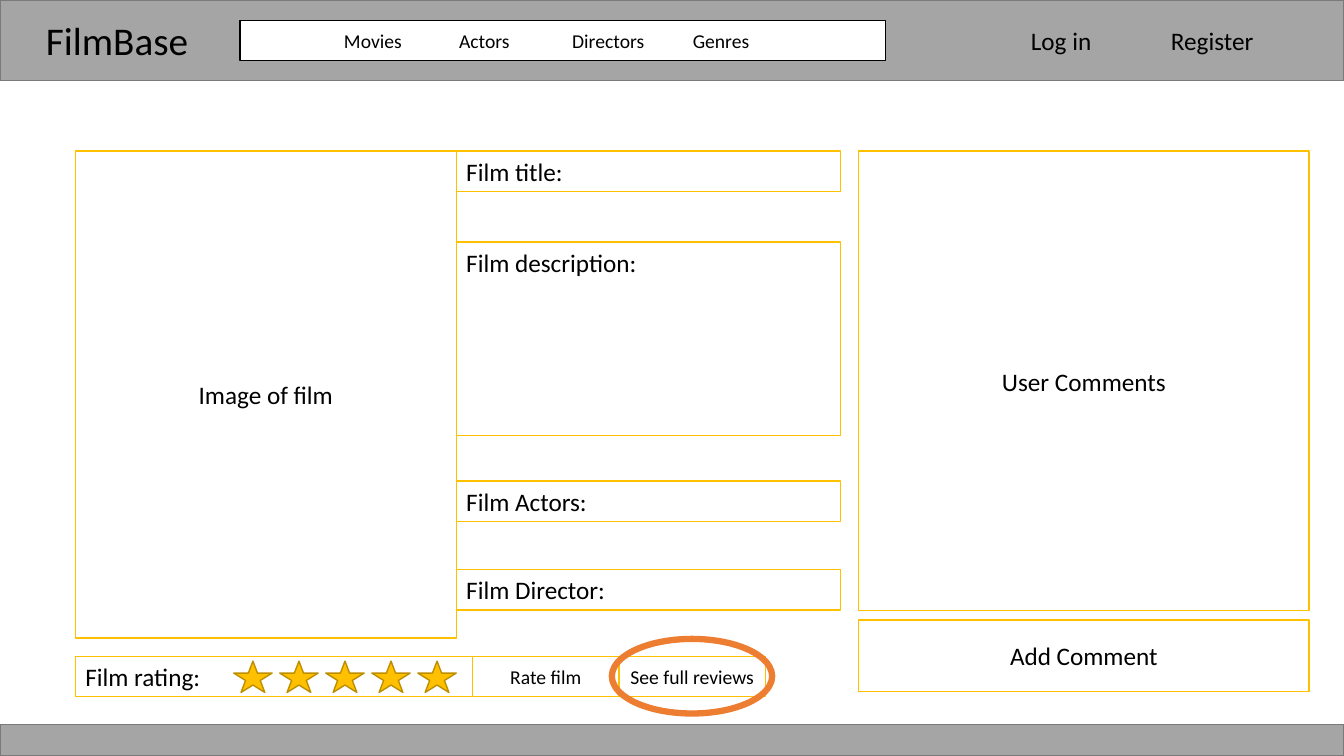
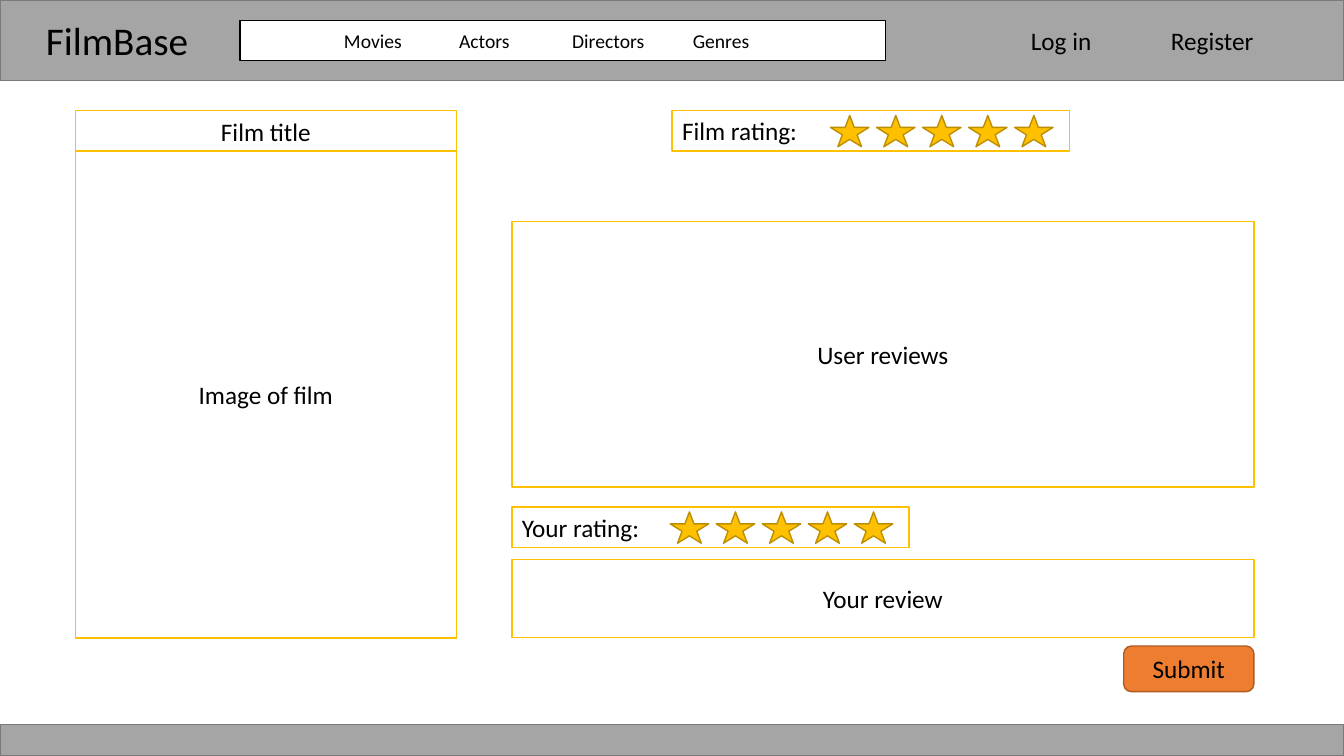
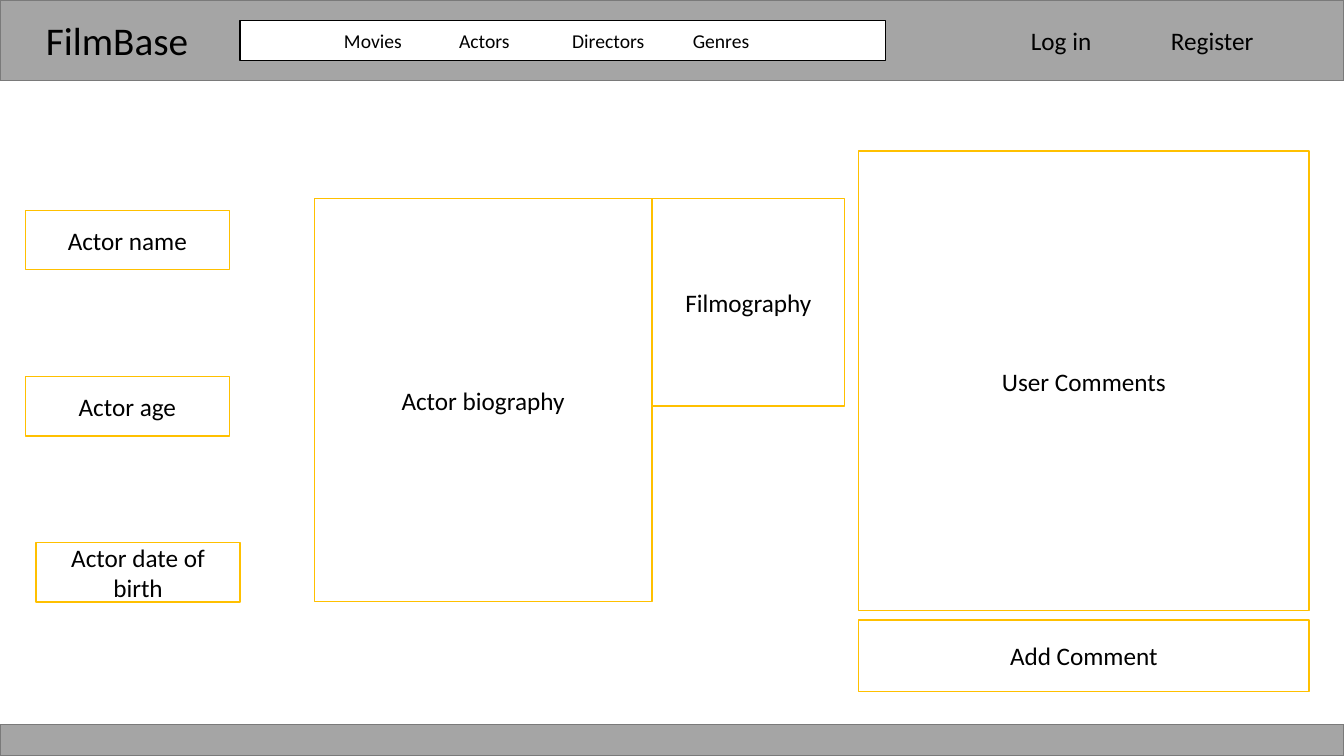
from pptx import Presentation
from pptx import util as u
from pptx.dml.color import RGBColor
from pptx.enum import shapes, text
from pptx.oxml import parse_xml
from pptx.oxml.ns import nsdecls

COLORS = {
    "paper": "FFFFFF", "ink": "000000", "band": "A5A5A5", "band_line": "7A7A7A",
    "gold": "FFC000", "star_line": "BD8E00", "orange": "ED7D31", "orange_line": "AF5C24",
}
FONT = "Calibri"
WIDTH, HEIGHT = 33.87, 19.05
ROW = 1.02
POSTER_X, POSTER_Y, POSTER_W, POSTER_H = 1.9, 3.81, 9.6, 12.27
MENU = ["Movies", "Actors", "Directors", "Genres"]
MENU_TABS = [2.9, 5.75, 8.79]

SHAPE = shapes.MSO_SHAPE
LEFT, CENTER = text.PP_ALIGN.LEFT, text.PP_ALIGN.CENTER
TOP, MIDDLE = text.MSO_ANCHOR.TOP, text.MSO_ANCHOR.MIDDLE


def rgb(name):
    return RGBColor.from_string(COLORS[name])


def write(sp, words, size=18, align=CENTER, anchor=MIDDLE, wrap=True):
    tf = sp.text_frame
    tf.word_wrap = wrap
    tf.vertical_anchor = anchor
    p = tf.paragraphs[0]
    p.text = words
    p.alignment = align
    p.font.name = FONT
    p.font.size = u.Pt(size)
    p.font.color.rgb = rgb("ink")
    return p


def add_shape(parent, kind, x, y, w, h, fill, line, weight=1):
    sp = parent.shapes.add_shape(kind, u.Cm(x), u.Cm(y), u.Cm(w), u.Cm(h))
    sp.shadow.inherit = False
    if fill:
        sp.fill.solid()
        sp.fill.fore_color.rgb = rgb(fill)
    else:
        sp.fill.background()
    sp.line.color.rgb = rgb(line)
    sp.line.width = u.Pt(weight)
    return sp


def add_box(parent, words, x, y, w, h, **style):
    sp = add_shape(parent, SHAPE.RECTANGLE, x, y, w, h, "paper", "gold")
    write(sp, words, **style)


def add_field(parent, words, x, y, w, h=ROW):
    add_box(parent, words, x, y, w, h, align=LEFT, anchor=TOP)


def add_label(s, words, x, y, w, h, size=18):
    sp = s.shapes.add_textbox(u.Cm(x), u.Cm(y), u.Cm(w), u.Cm(h))
    write(sp, words, size, LEFT, TOP, wrap=False)


def add_rating(s, words, x, y):
    group = s.shapes.add_group_shape()
    add_field(group, words, x, y, 10.01)
    for i in range(5):
        add_shape(group, SHAPE.STAR_5_POINT, x + 3.99 + 1.16 * i, y + 0.12,
                  0.97, 0.79, "gold", "star_line")


def add_menu(s):
    sp = add_shape(s, SHAPE.RECTANGLE, 6.05, 0.51, 16.26, ROW, "paper", "ink")
    p = write(sp, "\t".join(MENU), 14, LEFT)
    sp.text_frame.margin_left = u.Cm(2.62)
    stops = "".join(f'<a:tab pos="{u.Cm(pos)}" algn="l"/>' for pos in MENU_TABS)
    tabs = parse_xml(f'<a:tabLst {nsdecls("a")}>{stops}</a:tabLst>')
    p.font._element.addprevious(tabs)


def add_page(prs):
    s = prs.slides.add_slide(prs.slide_layouts[6])
    for y, h in [(0, 2.03), (18.26, 0.79)]:
        add_shape(s, SHAPE.RECTANGLE, 0, y, WIDTH, h, "band", "band_line")
    add_label(s, "FilmBase", 0.91, 0.28, 4.37, 1.45, 28)
    add_label(s, "Log in", 25.73, 0.51, 2.62, ROW)
    add_label(s, "Register", 29.26, 0.51, 3.1, ROW)
    add_menu(s)
    return s


def add_poster(s):
    add_box(s, "Image of film", POSTER_X, POSTER_Y, POSTER_W, POSTER_H)


def add_comments(s):
    add_box(s, "User Comments", 21.64, 3.81, 11.35, 11.58)
    add_box(s, "Add Comment", 21.64, 15.62, 11.35, 1.8)


def film_page(prs):
    s = add_page(prs)
    add_poster(s)
    for words, y, h in [("Film title:", POSTER_Y, ROW), ("Film description:", 6.1, 4.88),
                        ("Film Actors:", 12.12, ROW), ("Film Director:", 14.35, ROW)]:
        add_field(s, words, POSTER_X + POSTER_W, y, 9.68, h)
    add_rating(s, "Film rating:", POSTER_X, 16.54)
    for i, words in enumerate(["Rate film", "See full reviews"]):
        add_box(s, words, 11.91 + 3.69 * i, 16.54, 3.69, ROW, size=14)
    add_comments(s)
    add_shape(s, SHAPE.OVAL, 15.42, 16.1, 4.04, 1.88, None, "orange", 4.5)


def reviews_page(prs):
    s = add_page(prs)
    add_poster(s)
    add_box(s, "Film title", POSTER_X, POSTER_Y - ROW, POSTER_W, ROW)
    add_rating(s, "Film rating:", 16.94, 2.79)
    add_box(s, "User reviews", 12.9, 5.59, 18.7, 6.68)
    add_rating(s, "Your rating:", 12.9, 12.78)
    add_box(s, "Your review", 12.9, 14.1, 18.7, 1.96)
    submit = add_shape(s, SHAPE.ROUNDED_RECTANGLE, 28.32, 16.28, 3.28, 1.15,
                       "orange", "orange_line")
    write(submit, "Submit")


def actor_page(prs):
    s = add_page(prs)
    add_box(s, "Actor biography", 7.92, 5, 8.51, 10.16)
    add_box(s, "Filmography", 16.43, 5, 4.86, 5.23)
    for words, x, y in [("Actor name", 0.64, 5.3), ("Actor age", 0.64, 9.49),
                        ("Actor date of birth", 0.91, 13.67)]:
        add_box(s, words, x, y, 5.14, 1.5)
    add_comments(s)


def main():
    prs = Presentation()
    prs.slide_width, prs.slide_height = u.Cm(WIDTH), u.Cm(HEIGHT)
    film_page(prs)
    reviews_page(prs)
    actor_page(prs)
    prs.save("out.pptx")


if __name__ == "__main__":
    main()
